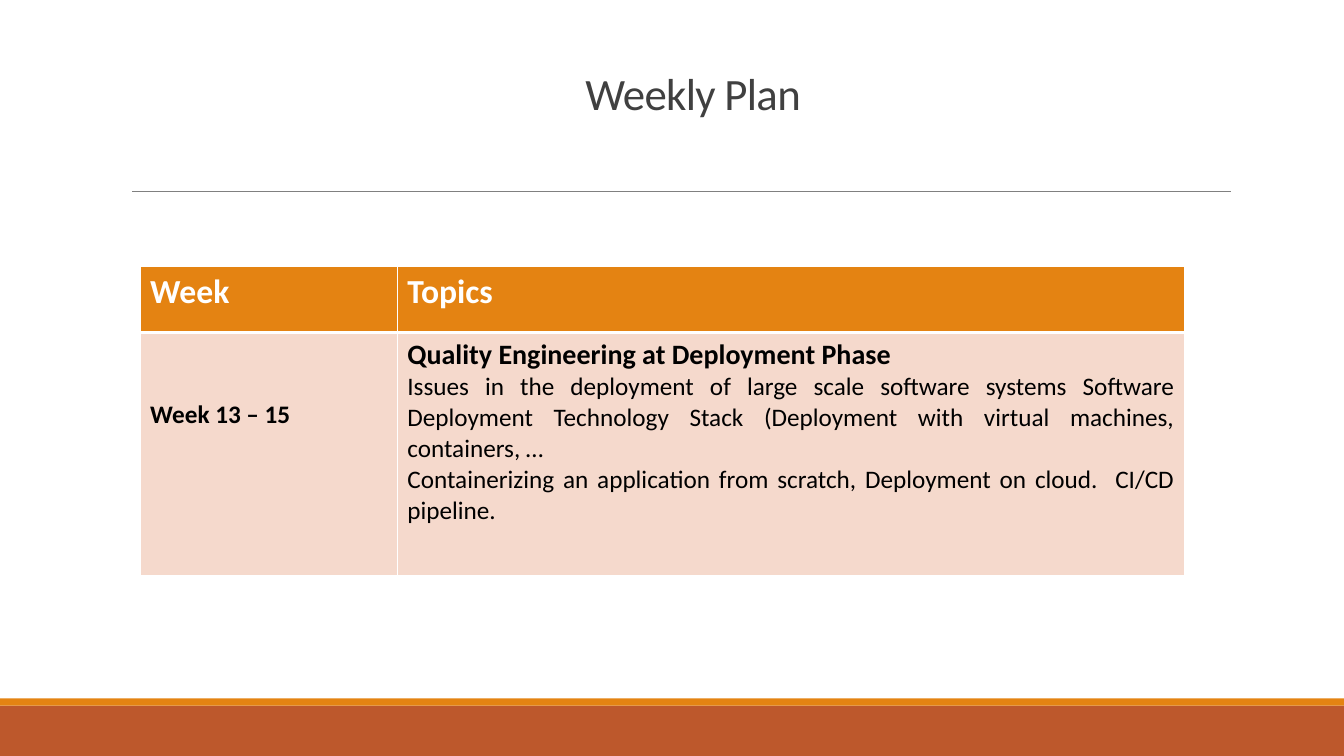
import pptx
import pptx.util
import pptx.dml.color
import pptx.enum.shapes
import pptx.enum.text
import pptx.oxml
import pptx.oxml.ns

Inches, Pt = pptx.util.Inches, pptx.util.Pt
Align = pptx.enum.text.PP_ALIGN

# Content
TITLE = "Weekly Plan"
HEAD = ["Week", "Topics"]
WEEK = "Week 13 – 15"
TOPIC = "Quality Engineering at Deployment Phase"
NOTES = [
    "Issues in the deployment of large scale software systems Software "
    "Deployment Technology Stack (Deployment with virtual machines, containers, …",
    "Containerizing an application from scratch, Deployment on cloud.  CI/CD pipeline.",
]

# Layout and colours
WIDE, HIGH = 13.33, 7.5
ORANGE, RUST, PINK = "E48312", "BD582C", "F5D9CC"
WHITE, BLACK, DARK, GREY = "FFFFFF", "000000", "404040", "808080"
BANDS = [(7, 0.5, RUST), (6.93, 0.07, ORANGE)]
COLS, ROWS = [2.55, 7.81], [0.66, 2.41]
LEFT, TOP = 1.39, 2.64

# Text formats
HEADING = {"size": Pt(24), "bold": True}
LABEL = {"size": Pt(18), "bold": True}
LEAD = {"size": Pt(20), "bold": True}
PLAIN = {"size": Pt(18), "bold": False}


def color(code):
    return pptx.dml.color.RGBColor.from_string(code)


def write(para, text, tint, style, align):
    para.alignment = align
    run = para.add_run()
    run.text = text
    run.font.color.rgb = color(tint)
    for key, value in {"name": "Calibri", **style}.items():
        setattr(run.font, key, value)
    return run


def border(cell, sides):
    props = cell._tc.get_or_add_tcPr()
    for side, width in sides.items():
        props.append(pptx.oxml.parse_xml(
            f'<a:ln{side} {pptx.oxml.ns.nsdecls("a")} w="{Pt(width)}">'
            f'<a:solidFill><a:srgbClr val="{WHITE}"/></a:solidFill></a:ln{side}>'))


def main():
    deck = pptx.Presentation()
    deck.slide_width, deck.slide_height = Inches(WIDE), Inches(HIGH)
    slide = deck.slides.add_slide(deck.slide_layouts[5])
    shapes = slide.shapes

    # Footer bands
    for top, height, fill in BANDS:
        band = shapes.add_shape(pptx.enum.shapes.MSO_SHAPE.RECTANGLE,
                                0, Inches(top), Inches(WIDE), Inches(height))
        band.shadow.inherit = False
        band.fill.solid()
        band.fill.fore_color.rgb = color(fill)
        band.line.fill.background()

    # Rule under the title
    rule = shapes.add_connector(pptx.enum.shapes.MSO_CONNECTOR.STRAIGHT,
                                Inches(1.31), Inches(1.9), Inches(12.21), Inches(1.9))
    rule.line.color.rgb = color(GREY)
    rule.line.width = Pt(0.5)
    rule._element.spPr.append(pptx.oxml.parse_xml(
        f'<a:effectLst {pptx.oxml.ns.nsdecls("a")}/>'))

    # Title
    title = shapes.title
    place = {"left": 1.78, "top": 0.41, "width": 10.19, "height": 0.83}
    for key, value in place.items():
        setattr(title, key, Inches(value))
    frame = title.text_frame
    frame.vertical_anchor = pptx.enum.text.MSO_ANCHOR.BOTTOM
    frame.auto_size = pptx.enum.text.MSO_AUTO_SIZE.NONE
    para = frame.paragraphs[0]
    para.line_spacing = 0.85
    run = write(para, TITLE, DARK, {"size": Pt(32)}, Align.CENTER)
    run.font._element.set("spc", "-50")

    # Table
    table = shapes.add_table(len(ROWS), len(COLS), Inches(LEFT), Inches(TOP),
                             Inches(sum(COLS)), Inches(sum(ROWS))).table
    for col, width in zip(table.columns, COLS):
        col.width = Inches(width)
    for row, height in zip(table.rows, ROWS):
        row.height = Inches(height)

    topics = [(TOPIC, LEAD)] + [(note, PLAIN) for note in NOTES]
    grid = [[[(text, HEADING)] for text in HEAD], [[(WEEK, LABEL)], topics]]
    looks = [(ORANGE, WHITE, {"L": 1, "R": 1, "T": 1, "B": 3}),
             (PINK, BLACK, {"L": 1, "R": 1, "T": 3, "B": 1})]
    for r, (fill, tint, sides) in enumerate(looks):
        for c, lines in enumerate(grid[r]):
            cell = table.cell(r, c)
            border(cell, sides)
            cell.fill.solid()
            cell.fill.fore_color.rgb = color(fill)
            align = Align.JUSTIFY if r and c else Align.LEFT
            for i, (text, style) in enumerate(lines):
                body = cell.text_frame
                para = body.add_paragraph() if i else body.paragraphs[0]
                write(para, text, tint, style, align)
    # Lower the week label by two lines
    table.cell(1, 0).margin_top = Inches(0.66)

    deck.save("out.pptx")


if __name__ == "__main__":
    main()
